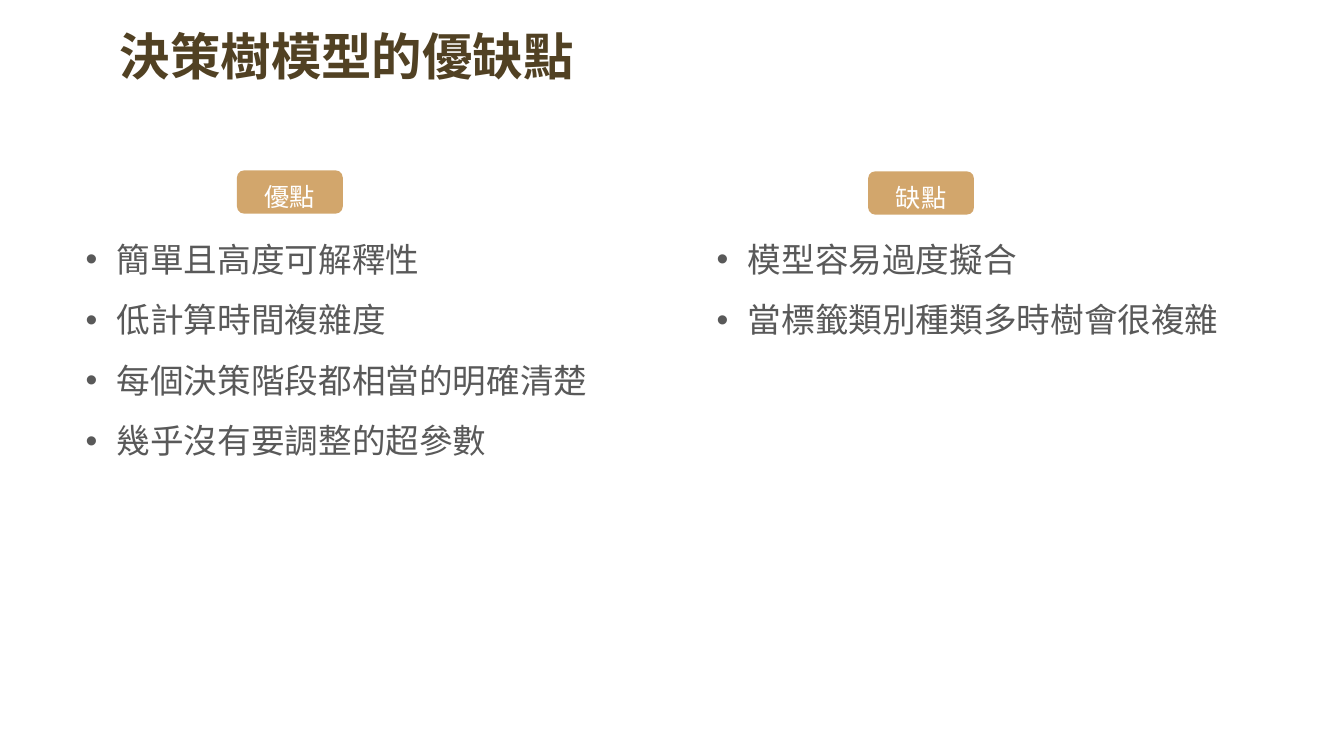
from lxml import etree
from pptx import Presentation
from pptx.dml.color import RGBColor
from pptx.enum.shapes import MSO_SHAPE
from pptx.enum.text import MSO_ANCHOR, PP_ALIGN
from pptx.oxml.ns import qn
from pptx.util import Pt

PX = 9144  # 100 px to the inch
ROUNDED = MSO_SHAPE.ROUNDED_RECTANGLE
MIDDLE = MSO_ANCHOR.MIDDLE
CENTER = PP_ALIGN.CENTER

BROWN = RGBColor(0x51, 0x41, 0x23)
GREY = RGBColor(0x59, 0x59, 0x59)
TAN = RGBColor(0xD2, 0xA6, 0x6C)
WHITE = RGBColor(0xFF, 0xFF, 0xFF)

TEXT_FONT = "Arial"
LABEL_FONT = "Noto Sans CJK SC"
BULLET_INDENT = 31

# Heading, points, left edge of the column, left and top of the label in it
COLUMNS = [
    ("優點", ["簡單且高度可解釋性", "低計算時間複雜度",
            "每個決策階段都相當的明確清楚", "幾乎沒有要調整的超參數"],
     (75, 212, 531, 245), (160, -43)),
    ("缺點", ["模型容易過度擬合", "當標籤類別種類多時樹會很複雜"],
     (701, 212, 531, 124), (160, -42)),
]


def emu(*lengths):
    return [length * PX for length in lengths]


def style(paragraph, font_name, size, color, spacing, bold=False):
    paragraph.line_spacing = spacing
    for run in paragraph.runs:
        run.font.name = font_name
        run.font.size = Pt(size)
        run.font.bold = bold
        run.font.color.rgb = color
        east_asian = etree.SubElement(run.font._element, qn("a:ea"))
        east_asian.set("typeface", font_name)


def add_bullet(paragraph):
    properties = paragraph._p.get_or_add_pPr()
    properties.set("marL", str(BULLET_INDENT * PX))
    properties.set("indent", str(-BULLET_INDENT * PX))
    etree.SubElement(properties, qn("a:buFont")).set("typeface", TEXT_FONT)
    etree.SubElement(properties, qn("a:buChar")).set("char", "•")


def add_title(slide, box, text):
    title = slide.shapes.add_textbox(*emu(*box)).text_frame
    title.word_wrap = True
    title.text = text
    style(title.paragraphs[0], TEXT_FONT, 36, BROWN, 0.9, bold=True)


def add_label(slide, box, text):
    label = slide.shapes.add_shape(ROUNDED, *emu(*box))
    label.shadow.inherit = False
    label.fill.solid()
    label.fill.fore_color.rgb = TAN
    label.line.fill.background()
    label.text_frame.vertical_anchor = MIDDLE
    label.text_frame.text = text
    heading = label.text_frame.paragraphs[0]
    heading.alignment = CENTER
    style(heading, LABEL_FONT, 18, WHITE, 1.3)


def add_column(slide, box, heading, points, label_offset):
    left, top, _, _ = box
    # Bulleted points
    body = slide.shapes.add_textbox(*emu(*box)).text_frame
    body.word_wrap = True
    body.text = "\n".join(points)
    for point in body.paragraphs:
        add_bullet(point)
        style(point, TEXT_FONT, 24, GREY, 1.5)
    # Label above the points
    across, down = label_offset
    add_label(slide, (left + across, top + down, 105, 43), heading)


def main():
    prs = Presentation()
    prs.slide_width, prs.slide_height = emu(1333, 750)
    slide = prs.slides.add_slide(prs.slide_layouts[6])
    add_title(slide, (109, 27, 1019, 65), "決策樹模型的優缺點")
    for heading, points, box, label_offset in COLUMNS:
        add_column(slide, box, heading, points, label_offset)
    prs.save("out.pptx")


if __name__ == "__main__":
    main()
